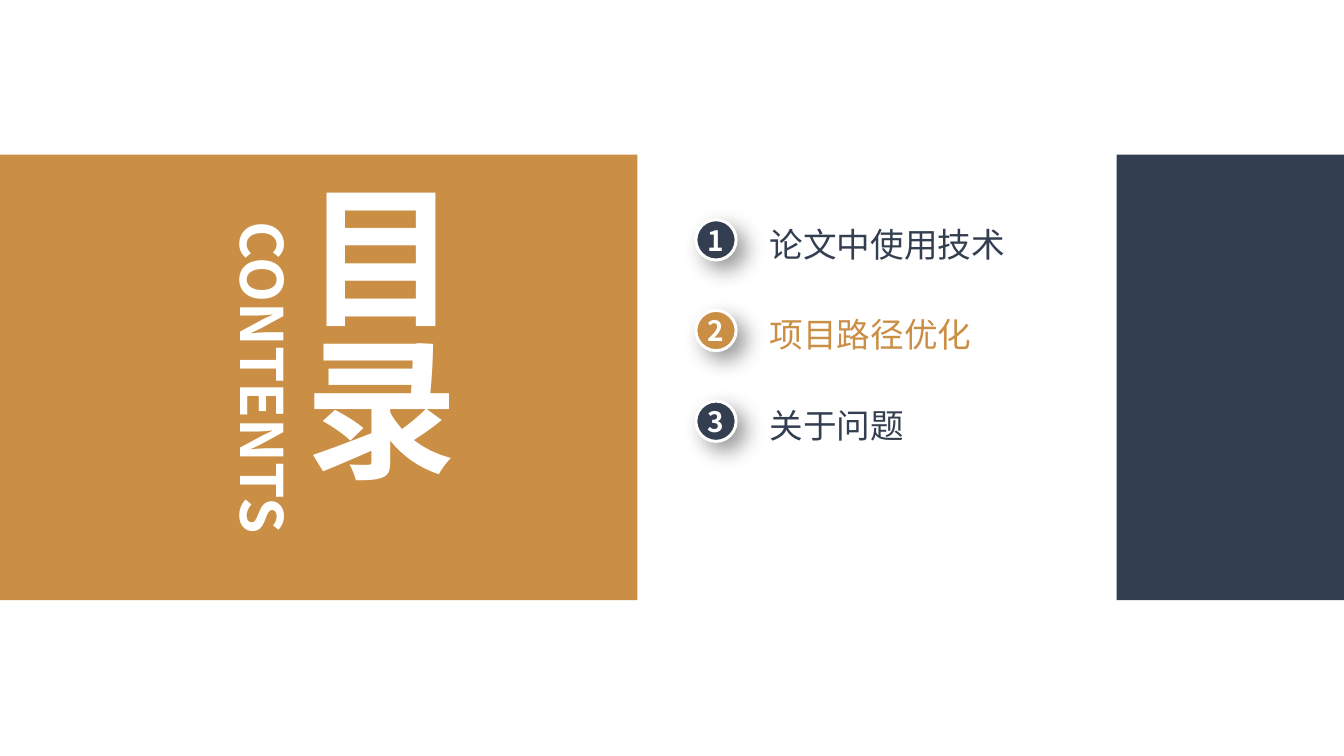
from dataclasses import dataclass

from lxml.etree import SubElement
from pptx import Presentation
from pptx.dml.color import RGBColor
from pptx.enum.shapes import MSO_SHAPE as Shape
from pptx.enum.text import MSO_ANCHOR as Anchor, PP_ALIGN as Align
from pptx.oxml.ns import qn
from pptx.util import Cm, Pt

TITLE = "目录"
SUBTITLE = "CONTENTS"
TOPICS = ["论文中使用技术", "项目路径优化", "关于问题"]
CURRENT_TOPIC = 2


@dataclass(frozen=True)
class Theme:
    font: str = "Noto Sans CJK SC"
    gold: RGBColor = RGBColor(0xCA, 0x8F, 0x45)
    navy: RGBColor = RGBColor(0x33, 0x3F, 0x50)
    white: RGBColor = RGBColor(0xFF, 0xFF, 0xFF)
    title_size: float = 115
    subtitle_size: float = 44
    topic_size: float = 25.3
    number_size: float = 21.1


THEME = Theme()

# Lengths in centimetres
PAGE_WIDTH, PAGE_HEIGHT = 35.71, 20.09
BAND_TOP, BAND_HEIGHT = 4.11, 11.84
GOLD_WIDTH, NAVY_LEFT = 16.94, 29.67
TITLE_BOX = (7.54, 4.78, 4.93, 10.54)
SUBTITLE_BOX = (2.41, 9.09, 9.17, 1.88)
BADGE_LEFT, BADGE_SIZE = 18.49, 1.07
TOPIC_LEFT, TOPIC_WIDTH = 20.45, 6.86
FIRST_TOP, TOPIC_PITCH, TOPIC_DROP = 5.84, 2.41, 0.1


def write(shape, text, size, color, bold=False, align=Align.CENTER,
          anchor=Anchor.MIDDLE):
    frame = shape.text_frame
    frame.margin_left = frame.margin_right = 0
    frame.margin_top = frame.margin_bottom = 0
    frame.word_wrap = True
    frame.vertical_anchor = anchor
    para = frame.paragraphs[0]
    para.text = text
    para.alignment = align
    font = para.font
    font.size, font.bold = Pt(size), bold
    font.color.rgb = color
    font.name = THEME.font
    # Chinese glyphs take the East Asian typeface
    defaults = para._p.pPr.find(qn("a:defRPr"))
    SubElement(defaults, qn("a:ea"), typeface=THEME.font)


def add_text(page, box, *args, **options):
    shape = page.shapes.add_textbox(*map(Cm, box))
    write(shape, *args, **options)
    return shape


def add_filled(page, kind, box, color):
    shape = page.shapes.add_shape(kind, *map(Cm, box))
    shape.shadow.inherit = False
    shape.fill.solid()
    shape.fill.fore_color.rgb = color
    shape.line.fill.background()
    return shape


def cast_shadow(shape):
    """Give the shape a soft shadow towards the lower right."""
    effects = shape._element.spPr.find(qn("a:effectLst"))
    shadow = SubElement(effects, qn("a:outerShdw"), blurRad=str(Pt(16)),
                        dist=str(Pt(9)), dir="2700000", algn="tl",
                        rotWithShape="0")
    tint = SubElement(shadow, qn("a:srgbClr"), val="000000")
    SubElement(tint, qn("a:alpha"), val="40000")


def add_topic(page, number, topic):
    color = THEME.gold if number == CURRENT_TOPIC else THEME.navy
    top = FIRST_TOP + (number - 1) * TOPIC_PITCH
    badge = add_filled(page, Shape.OVAL,
                       (BADGE_LEFT, top, BADGE_SIZE, BADGE_SIZE), color)
    badge.line.color.rgb = THEME.white
    badge.line.width = Pt(2.25)
    cast_shadow(badge)
    write(badge, str(number), THEME.number_size, THEME.white, bold=True)
    add_text(page, (TOPIC_LEFT, top + TOPIC_DROP, TOPIC_WIDTH, BADGE_SIZE),
             topic, THEME.topic_size, color, align=Align.LEFT)


def main():
    deck = Presentation()
    deck.slide_width, deck.slide_height = Cm(PAGE_WIDTH), Cm(PAGE_HEIGHT)
    page = deck.slides.add_slide(deck.slide_layouts[6])

    for left, right, color in [(0, GOLD_WIDTH, THEME.gold),
                               (NAVY_LEFT, PAGE_WIDTH, THEME.navy)]:
        add_filled(page, Shape.RECTANGLE,
                   (left, BAND_TOP, right - left, BAND_HEIGHT), color)

    title = add_text(page, TITLE_BOX, TITLE, THEME.title_size, THEME.white,
                     bold=True)
    title.text_frame._txBody.bodyPr.set("vert", "eaVert")
    subtitle = add_text(page, SUBTITLE_BOX, SUBTITLE, THEME.subtitle_size,
                        THEME.white, bold=True, anchor=Anchor.TOP)
    subtitle.rotation = 90

    for number, topic in enumerate(TOPICS, start=1):
        add_topic(page, number, topic)

    deck.save("out.pptx")


if __name__ == "__main__":
    main()
